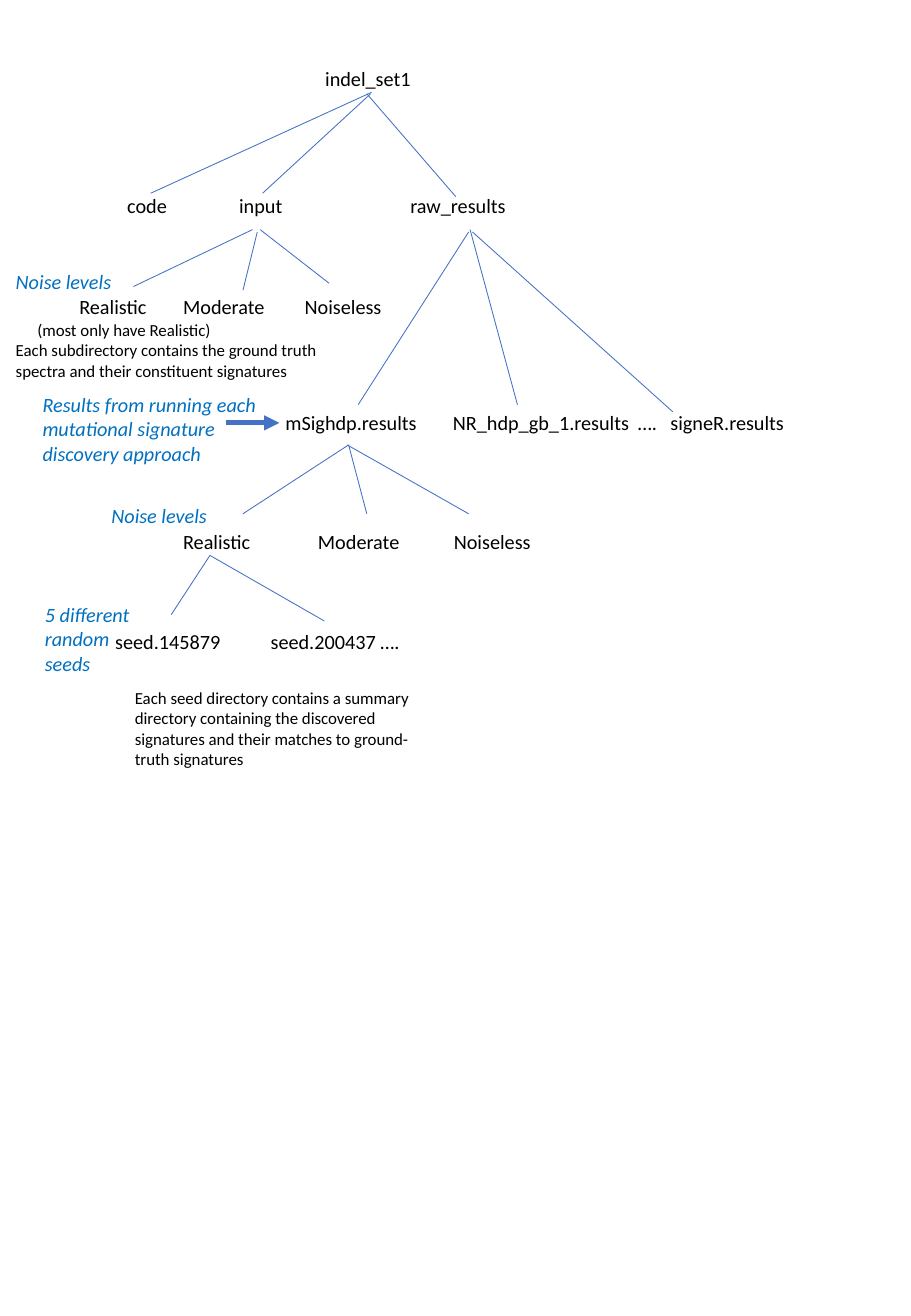
import pptx
import pptx.dml.color
import pptx.enum.shapes
import pptx.enum.text
import pptx.oxml.ns
import pptx.util
from dataclasses import dataclass
from lxml import etree
from typing import NamedTuple

Cm = pptx.util.Cm
Pt = pptx.util.Pt
RGBColor = pptx.dml.color.RGBColor
qn = pptx.oxml.ns.qn

BLACK = RGBColor(0x00, 0x00, 0x00)
NOTE_BLUE = RGBColor(0x00, 0x70, 0xC0)
BRANCH_BLUE = RGBColor(0x44, 0x72, 0xC4)
FONT = "Calibri"
ROW_HEIGHT = 0.77


@dataclass(frozen=True)
class Line:
    """One paragraph; tab stops and indent are in cm."""
    text: str
    size: int = 12
    annotation: bool = False
    stops: tuple[float, ...] = ()
    indent: float = 0
    space_before: int = 0


@dataclass(frozen=True)
class Block:
    """A text area in cm with its paragraphs."""
    left: float
    top: float
    width: float
    height: float
    lines: tuple[Line, ...]


class Branch(NamedTuple):
    """A straight line between two points, in cm."""
    start: tuple[float, float]
    end: tuple[float, float]


DIRECTORY_ROWS = (
    Block(6.55, 1.27, 2.9, ROW_HEIGHT, (Line("indel_set1"),)),
    Block(2.41, 3.91, 8.79, ROW_HEIGHT,
          (Line("code\tinput\traw_results", stops=(2.34, 5.92)),)),
    Block(0.08, 5.51, 8.9, 2.57, (
        Line("Noise levels", annotation=True),
        Line("\tRealistic\tModerate\tNoiseless", stops=(1.33, 3.5, 6.04)),
        Line("(most only have Realistic)", size=10, indent=0.45, space_before=1),
        Line("Each subdirectory contains the ground truth", size=10),
        Line("spectra and their constituent signatures", size=10))),
    Block(5.72, 8.46, 11.6, ROW_HEIGHT,
          (Line("mSighdp.results\tNR_hdp_gb_1.results\t….\tsigneR.results",
                stops=(3.5, 7.37, 8.05)),)),
    Block(3.58, 10.95, 8.2, ROW_HEIGHT,
          (Line("Realistic\tModerate\tNoiseless", stops=(2.82, 5.66)),)),
    Block(2.16, 13.03, 6.9, ROW_HEIGHT,
          (Line("seed.145879\tseed.200437 ….", stops=(3.25,)),)),
)

ANNOTATIONS = (
    Block(0.64, 8.08, 5.56, 1.8,
          (Line("Results from running each mutational signature discovery approach",
                annotation=True),)),
    Block(2.08, 10.39, 2.9, ROW_HEIGHT, (Line("Noise levels", annotation=True),)),
    Block(0.69, 12.47, 2.51, 1.8,
          (Line("5 different random seeds", annotation=True),)),
    Block(2.57, 14.25, 6.91, 1.96,
          (Line("Each seed directory contains a summary directory containing the "
                "discovered signatures and their matches to ground-truth signatures",
                size=10),)),
)

BRANCHES = (
    # indel_set1
    Branch((7.77, 1.93), (3.15, 4.04)),
    Branch((7.75, 1.96), (5.49, 4.04)),
    Branch((7.67, 1.96), (9.53, 4.11)),
    # input
    Branch((5.28, 4.8), (2.79, 5.99)),
    Branch((5.38, 4.85), (5.08, 6.07)),
    Branch((5.44, 4.8), (6.88, 5.92)),
    # raw_results
    Branch((9.8, 4.85), (7.49, 8.46)),
    Branch((9.83, 4.8), (10.82, 8.46)),
    Branch((9.88, 4.85), (14.07, 8.61)),
    # mSighdp.results
    Branch((7.29, 9.3), (5.08, 10.74)),
    Branch((7.29, 9.3), (7.67, 10.74)),
    Branch((7.26, 9.3), (9.8, 10.74)),
    # Realistic
    Branch((4.39, 11.61), (3.58, 12.85)),
    Branch((4.39, 11.61), (6.78, 12.98)),
)
APPROACH_ARROW = Branch((4.72, 8.84), (5.84, 8.84))


def fill_paragraph(paragraph, line: Line) -> None:
    """Write one line with its tab stops, indent and font."""
    paragraph.text = line.text
    paragraph.space_before = Pt(line.space_before)
    properties = paragraph._p.get_or_add_pPr()
    if line.indent:
        properties.set("marL", str(Cm(line.indent)))
        properties.set("indent", "0")
    if line.stops:
        tab_list = etree.SubElement(properties, qn("a:tabLst"))
        for stop in line.stops:
            etree.SubElement(tab_list, qn("a:tab"), pos=str(Cm(stop)), algn="l")
    for run in paragraph.runs:
        run.font.name = FONT
        run.font.size = Pt(line.size)
        run.font.italic = line.annotation
        run.font.color.rgb = NOTE_BLUE if line.annotation else BLACK


def draw_block(slide, block: Block) -> None:
    """Add a text box holding the lines of a block."""
    area = slide.shapes.add_textbox(Cm(block.left), Cm(block.top),
                                    Cm(block.width), Cm(block.height))
    frame = area.text_frame
    frame.word_wrap = True
    frame.auto_size = pptx.enum.text.MSO_AUTO_SIZE.SHAPE_TO_FIT_TEXT
    frame.text = "\n".join(line.text for line in block.lines)
    for paragraph, line in zip(frame.paragraphs, block.lines):
        fill_paragraph(paragraph, line)


def draw_branch(slide, branch: Branch, weight: float = 0.5, arrow: bool = False) -> None:
    """Add a connector, with an arrowhead at its end if asked."""
    connector = slide.shapes.add_connector(
        pptx.enum.shapes.MSO_CONNECTOR.STRAIGHT,
        *map(Cm, branch.start), *map(Cm, branch.end))
    connector.line.color.rgb = BRANCH_BLUE
    connector.line.width = Pt(weight)
    if arrow:
        etree.SubElement(connector.line._get_or_add_ln(), qn("a:tailEnd"), type="triangle")
    etree.SubElement(connector._element.spPr, qn("a:effectLst"))


def main() -> None:
    """Build the directory tree slide."""
    presentation = pptx.Presentation()
    presentation.slide_width = Cm(19.05)
    presentation.slide_height = Cm(27.51)
    slide = presentation.slides.add_slide(presentation.slide_layouts[6])
    for row in DIRECTORY_ROWS:
        draw_block(slide, row)
    for branch in BRANCHES:
        draw_branch(slide, branch)
    for annotation in ANNOTATIONS:
        draw_block(slide, annotation)
    draw_branch(slide, APPROACH_ARROW, weight=3, arrow=True)
    presentation.save("out.pptx")


main()
